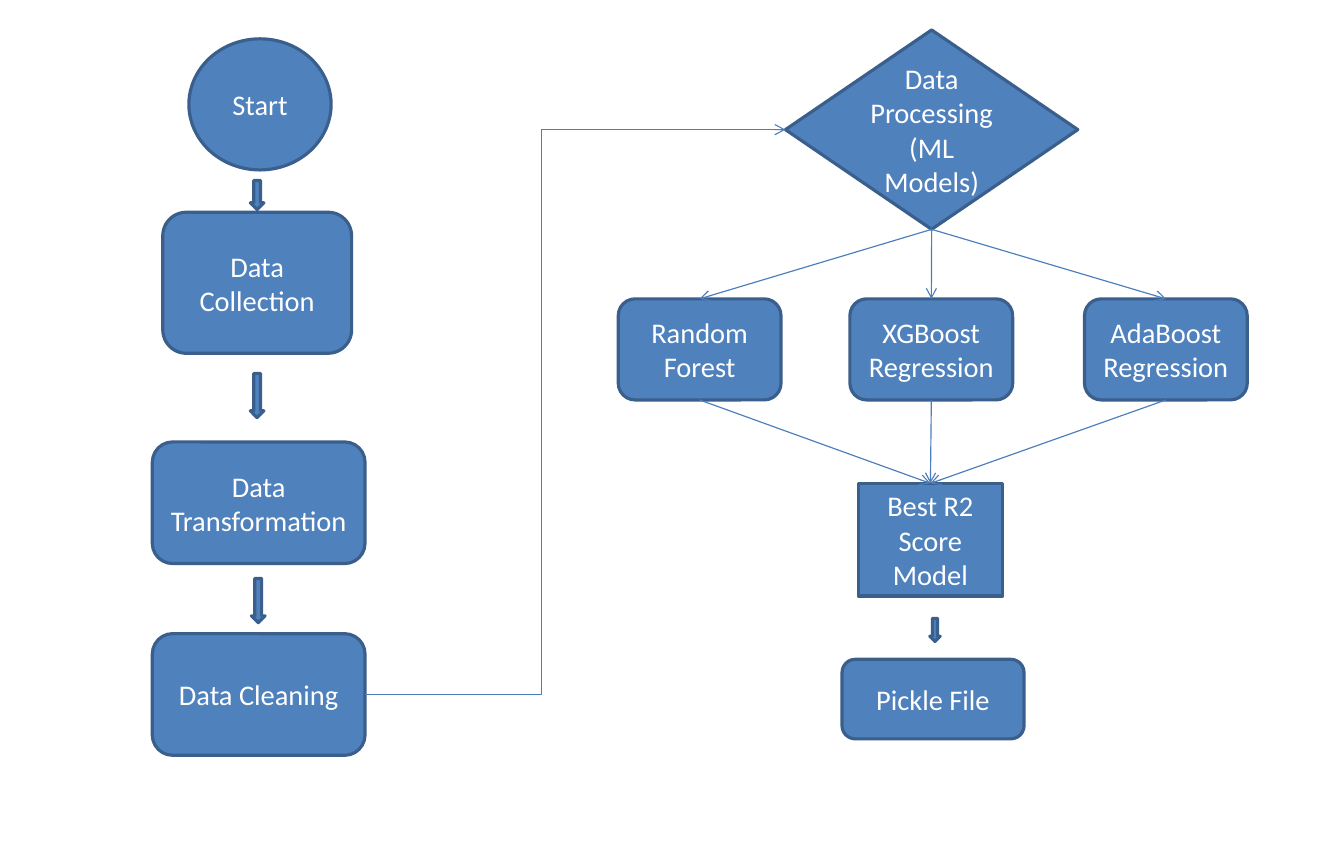
from pptx import Presentation
from pptx.dml.color import RGBColor
from pptx.enum.shapes import MSO_CONNECTOR as LINK, MSO_SHAPE as SHAPE
from pptx.enum.text import MSO_ANCHOR as ANCHOR, PP_ALIGN as ALIGN
from pptx.oxml.ns import qn
from pptx.util import Pt
from lxml.etree import SubElement

BLUE = RGBColor(0x4F, 0x81, 0xBD)
DARK_BLUE = RGBColor(0x3A, 0x5F, 0x8C)
LINK_BLUE = RGBColor(0x4B, 0x7E, 0xBC)
WHITE = RGBColor(0xFF, 0xFF, 0xFF)

# Connection sites of the boxes
TOP, LEFT, BOTTOM, RIGHT = range(4)


def add_solid(page, kind, left, top, width, height):
    shape = page.shapes.add_shape(kind, Pt(left), Pt(top), Pt(width), Pt(height))
    shape.shadow.inherit = False
    shape.fill.solid()
    shape.fill.fore_color.rgb = BLUE
    shape.line.color.rgb = DARK_BLUE
    shape.line.width = Pt(2)
    return shape


def add_box(page, kind, left, top, width, height, *lines):
    box = add_solid(page, kind, left, top, width, height)
    frame = box.text_frame
    frame.word_wrap = True
    frame.vertical_anchor = ANCHOR.MIDDLE
    frame.text = "\n".join(lines)
    for para in frame.paragraphs:
        para.alignment = ALIGN.CENTER
        para.font.name = "Calibri"
        para.font.size = Pt(18)
        para.font.color.rgb = WHITE
    return box


def add_link(page, start, start_site, end, end_site, kind=LINK.STRAIGHT):
    link = page.shapes.add_connector(kind, 0, 0, 0, 0)
    link.begin_connect(start, start_site)
    link.end_connect(end, end_site)
    link.line.color.rgb = LINK_BLUE
    link.line.width = Pt(0.75)
    SubElement(link.line._get_or_add_ln(), qn("a:tailEnd"), type="arrow")
    SubElement(link._element.spPr, qn("a:effectLst"))
    return link


def set_bend(link, share):
    """Place the bend at a share of the link's width."""
    guides = link._element.spPr.find(qn("a:prstGeom")).get_or_add_avLst()
    SubElement(guides, qn("a:gd"), name="adj1", fmla=f"val {round(share * 100000)}")


def main():
    deck = Presentation()
    deck.slide_width, deck.slide_height = Pt(850.4), Pt(540)
    page = deck.slides.add_slide(deck.slide_layouts[6])

    # Data preparation, down the left side
    add_box(page, SHAPE.OVAL, 119.5, 24.6, 90, 83, "Start")
    add_box(page, SHAPE.ROUNDED_RECTANGLE, 103, 134.4, 119.5, 89.3, "Data Collection")
    add_box(page, SHAPE.ROUNDED_RECTANGLE, 96.4, 279.8, 134.6, 77, "Data Transformation")
    cleaning = add_box(page, SHAPE.ROUNDED_RECTANGLE, 96.4, 401.2, 134.6, 77,
                       "Data Cleaning")

    # Processing decision and the results
    decision = add_box(page, SHAPE.FLOWCHART_DECISION, 497, 19, 185, 126.2,
                       "Data Processing", "(ML Models)")
    best = add_box(page, SHAPE.RECTANGLE, 543, 306, 91.4, 71.3, "Best R2 Score Model")
    add_box(page, SHAPE.ROUNDED_RECTANGLE, 532.8, 417.4, 115.2, 50.4, "Pickle File")

    # Block arrows between the steps
    for left, top, width, height in [(158.4, 114.3, 8.6, 18.4), (158.4, 236.4, 8.6, 28),
                                     (159.1, 366.2, 8.6, 28), (588.3, 391.5, 6.6, 14.6)]:
        add_solid(page, SHAPE.DOWN_ARROW, left, top, width, height)

    # Models, each linked from the decision and to the best score
    for left, name in [(391.2, "Random Forest"), (537.8, "XGBoost Regression"),
                       (686.2, "AdaBoost Regression")]:
        model = add_box(page, SHAPE.ROUNDED_RECTANGLE, left, 189.2, 103, 64, name)
        add_link(page, decision, BOTTOM, model, TOP)
        add_link(page, model, BOTTOM, best, TOP)

    # Bent link from cleaning to processing
    bent = add_link(page, cleaning, RIGHT, decision, LEFT, LINK.ELBOW)
    set_bend(bent, 0.42)

    deck.save("out.pptx")


main()
